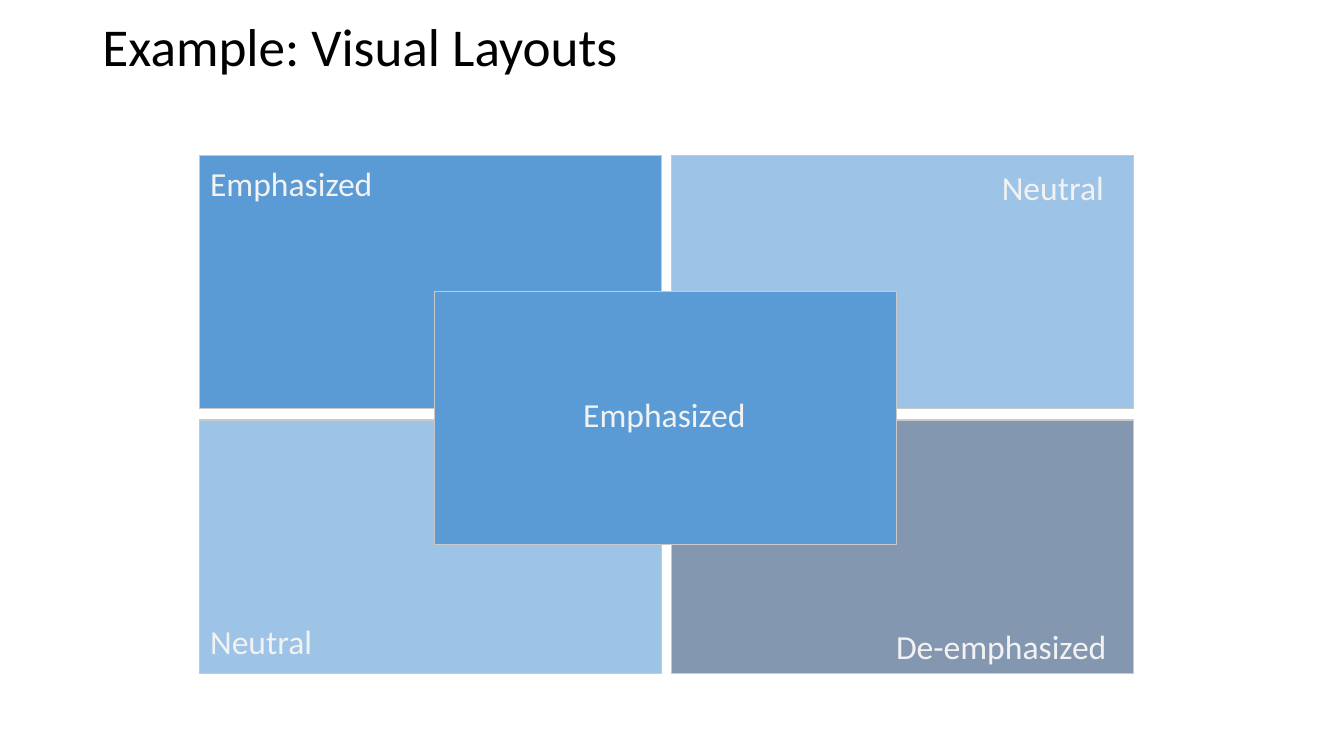
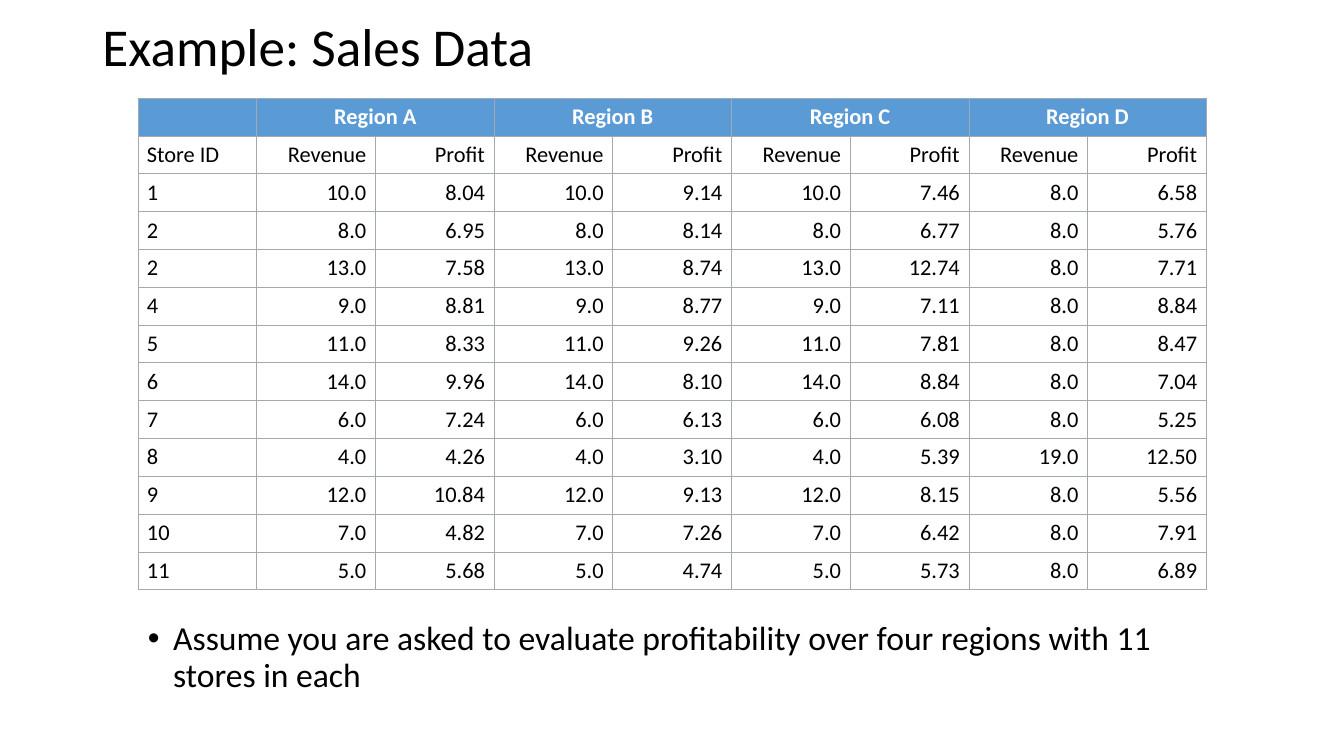
from lxml import etree
from pptx import Presentation
from pptx.dml.color import RGBColor
from pptx.enum import shapes, text
from pptx.oxml.ns import qn
from pptx.util import Pt

FONT = "Calibri"
BLACK, WHITE, OFF_WHITE = "000000", "FFFFFF", "F2F2F2"
STRONG, SOFT, MUTED = "5B9BD5", "9DC3E6", "8497B0"
PANEL_LINE, TABLE_LINE = "C9C9C9", "A2A9B1"
TITLE_ONLY, TITLE_AND_BODY = 5, 1
LEFT, CENTER, RIGHT = text.PP_ALIGN.LEFT, text.PP_ALIGN.CENTER, text.PP_ALIGN.RIGHT

PANEL_W, PANEL_H = 330, 181
GRID_LEFT, GRID_TOP = 142.5, 111
GAP_X, GAP_Y = 7, 8
LABEL_W, LABEL_H = 186, 36
COL_W, ROW_H = 84.8, 27.03

REGIONS = ["Region A", "Region B", "Region C", "Region D"]
SALES = """
1 10.0 8.04 10.0 9.14 10.0 7.46 8.0 6.58
2 8.0 6.95 8.0 8.14 8.0 6.77 8.0 5.76
2 13.0 7.58 13.0 8.74 13.0 12.74 8.0 7.71
4 9.0 8.81 9.0 8.77 9.0 7.11 8.0 8.84
5 11.0 8.33 11.0 9.26 11.0 7.81 8.0 8.47
6 14.0 9.96 14.0 8.10 14.0 8.84 8.0 7.04
7 6.0 7.24 6.0 6.13 6.0 6.08 8.0 5.25
8 4.0 4.26 4.0 3.10 4.0 5.39 19.0 12.50
9 12.0 10.84 12.0 9.13 12.0 8.15 8.0 5.56
10 7.0 4.82 7.0 7.26 7.0 6.42 8.0 7.91
11 5.0 5.68 5.0 4.74 5.0 5.73 8.0 6.89
"""


def rgb(color):
    return RGBColor.from_string(color)


def place(sp, left, top, width, height):
    sp.left, sp.top, sp.width, sp.height = map(Pt, (left, top, width, height))


def write(tf, words, size, color, align=LEFT, bold=False):
    """Set one formatted paragraph and return it."""
    tf.text = words
    p = tf.paragraphs[0]
    p.alignment = align
    for r in p.runs:
        r.font.name, r.font.size, r.font.bold = FONT, Pt(size), bold
        r.font.color.rgb = rgb(color)
    return p


def add_titled_slide(prs, layout, title):
    s = prs.slides.add_slide(prs.slide_layouts[layout])
    place(s.shapes.title, 66, 0, 828, 70)
    tf = s.shapes.title.text_frame
    tf.auto_size = text.MSO_AUTO_SIZE.NONE
    tf.vertical_anchor = text.MSO_ANCHOR.MIDDLE
    write(tf, title, 38, BLACK).line_spacing = 0.9
    return s


def add_panel(s, left, top, color):
    sp = s.shapes.add_shape(shapes.MSO_SHAPE.RECTANGLE,
                            *map(Pt, (left, top, PANEL_W, PANEL_H)))
    sp.shadow.inherit = False
    sp.fill.solid()
    sp.fill.fore_color.rgb = rgb(color)
    sp.line.color.rgb = rgb(PANEL_LINE)
    sp.line.width = Pt(1)


def add_label(s, left, top, words):
    sp = s.shapes.add_textbox(*map(Pt, (left, top, LABEL_W, LABEL_H)))
    sp.text_frame.word_wrap = True
    write(sp.text_frame, words, 24, OFF_WHITE)


def add_bullet(s, words):
    sp = s.placeholders[1]
    place(sp, 98.5, 440.5, 763, 87)
    sp.text_frame.auto_size = text.MSO_AUTO_SIZE.NONE
    p = write(sp.text_frame, words, 24, BLACK)
    p.line_spacing, p.space_before = 0.9, Pt(10)
    pPr = p._p.get_or_add_pPr()
    pPr.set("marL", str(Pt(18)))
    pPr.set("indent", str(-Pt(18)))
    etree.SubElement(pPr, qn("a:buFont"), typeface="Arial")
    etree.SubElement(pPr, qn("a:buChar"), char="•")


def add_borders(cell):
    tcPr = cell._tc.get_or_add_tcPr()
    for side in ("lnL", "lnR", "lnT", "lnB"):
        ln = etree.SubElement(tcPr, qn("a:" + side), w=str(Pt(0.43)))
        fill = etree.SubElement(ln, qn("a:solidFill"))
        etree.SubElement(fill, qn("a:srgbClr"), val=TABLE_LINE)


def fill_cell(cell, words, align, header):
    add_borders(cell)
    cell.fill.solid()
    cell.fill.fore_color.rgb = rgb(STRONG if header else WHITE)
    cell.vertical_anchor = text.MSO_ANCHOR.MIDDLE
    cell.margin_left = cell.margin_right = Pt(6.5)
    cell.margin_top = cell.margin_bottom = Pt(3.6)
    p = write(cell.text_frame, words, 16, WHITE if header else BLACK, align, header)
    if not words:  # keeps an empty cell from stretching its row
        etree.SubElement(p._p, qn("a:endParaRPr"), sz="1600")


def add_sales_table(s):
    header = [""]
    for region in REGIONS:
        header += [region, ""]
    rows = [header, ["Store ID"] + ["Revenue", "Profit"] * len(REGIONS)]
    rows += [line.split() for line in SALES.strip().splitlines()]
    n_rows, n_cols = len(rows), len(header)
    table = s.shapes.add_table(n_rows, n_cols, Pt(98.5), Pt(70),
                               Pt(COL_W * n_cols), Pt(ROW_H * n_rows)).table
    table.horz_banding = False
    for col in table.columns:
        col.width = Pt(COL_W)
    for i, values in enumerate(rows):
        table.rows[i].height = Pt(ROW_H)
        for j, value in enumerate(values):
            align = CENTER if i == 0 else RIGHT if j else LEFT
            fill_cell(table.cell(i, j), value, align, header=i == 0)
    for j in range(1, n_cols, 2):
        table.cell(0, j).merge(table.cell(0, j + 1))


def add_layout_slide(prs):
    s = add_titled_slide(prs, TITLE_ONLY, "Example: Visual Layouts")
    for row, colors in enumerate([(STRONG, SOFT), (SOFT, MUTED)]):
        for col, color in enumerate(colors):
            add_panel(s, GRID_LEFT + col * (PANEL_W + GAP_X),
                      GRID_TOP + row * (PANEL_H + GAP_Y), color)
    add_panel(s, 310.5, 208, STRONG)
    for left, top, words in [(143, 113, "Emphasized"), (409.5, 278, "Emphasized"),
                             (633, 443.5, "De-emphasized"),
                             (708.5, 116, "Neutral"), (143, 440, "Neutral")]:
        add_label(s, left, top, words)


def add_sales_slide(prs):
    s = add_titled_slide(prs, TITLE_AND_BODY, "Example: Sales Data")
    add_sales_table(s)
    add_bullet(s, "Assume you are asked to evaluate profitability over four "
                  "regions with 11 stores in each")


def main():
    prs = Presentation()
    prs.slide_width, prs.slide_height = Pt(960), Pt(540)
    add_layout_slide(prs)
    add_sales_slide(prs)
    prs.save("out.pptx")


if __name__ == "__main__":
    main()
